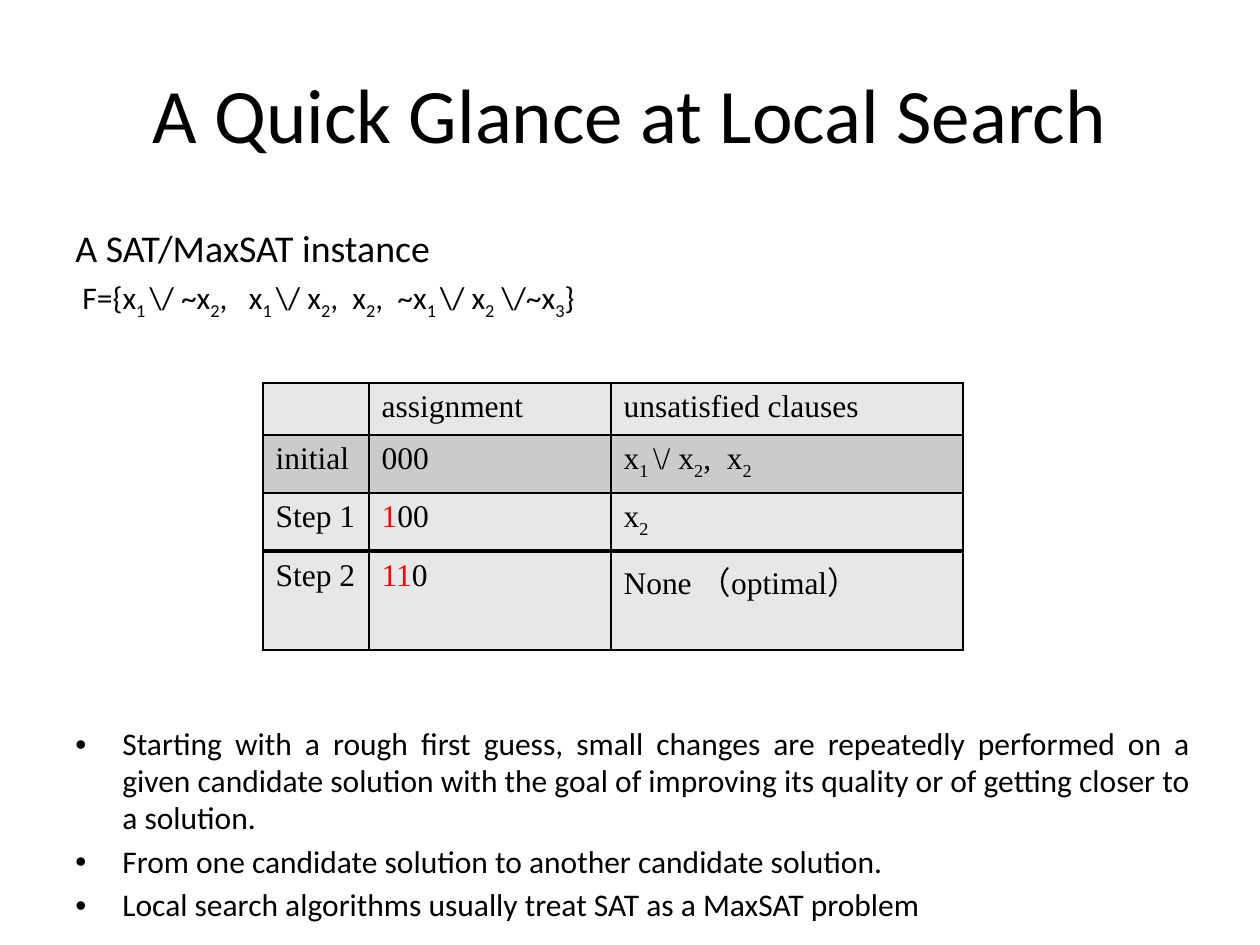
from pptx import Presentation
from pptx.dml.color import RGBColor
from pptx.enum.text import MSO_ANCHOR as Anchor, PP_ALIGN as Align
from pptx.oxml import parse_xml
from pptx.oxml.ns import nsdecls
from pptx.util import Emu, Pt

PX = 914400 // 126
BLACK = RGBColor(0x00, 0x00, 0x00)
RED = RGBColor(0xFF, 0x00, 0x00)
LIGHT = RGBColor(0xE7, 0xE7, 0xE7)
DARK = RGBColor(0xCB, 0xCB, 0xCB)

TABLE_LEFT = 263
COLUMNS = (106, 242, 352)
# Each table: top, then rows of (height, fill, cell texts)
TABLES = (
    (383, ((52, LIGHT, ("", "assignment", "unsatisfied clauses")),
           (58, DARK, ("initial", "000", r"x|1 |\/ x|2|,  x|2|")))),
    (493, ((57, LIGHT, ("Step 1", "|1|00", "x|2|")),)),
    (552, ((98, LIGHT, ("Step 2", "|11|0", "None （optimal）")),)),
)
FORMULA = r" F={x|1 |\/ ~x|2|,   x|1 |\/ x|2|,  x|2|,  ~x|1 |\/ x|2| \/~x|3|}"
POINTS = (
    "Starting with a rough first guess, small changes are repeatedly performed "
    "on a given candidate solution with the goal of improving its quality or of "
    "getting closer to a solution.",
    "From one candidate solution to another candidate solution. ",
    "Local search algorithms usually treat SAT as a MaxSAT problem",
)


def px(length):
    return Emu(length * PX)


def subscript(span):
    span._r.get_or_add_rPr().set("baseline", "-25000")


def redden(span):
    span.font.color.rgb = RED


class SlideBuilder:
    body_font = "Calibri"
    table_font = "Times New Roman"

    def __init__(self, page):
        self.page = page

    def add_spans(self, para, marked_text, size, font, mark=subscript):
        """Fill a paragraph, applying mark to the parts between bars."""
        for index, part in enumerate(marked_text.split("|")):
            if not part:
                continue
            span = para.add_run()
            span.text = part
            span.font.size = Pt(size)
            span.font.name = font
            span.font.color.rgb = BLACK
            if index % 2:
                mark(span)

    def text(self, left, top, width, height, lines, align=Align.LEFT,
             anchor=Anchor.TOP, bullets=False):
        """Add a text box; lines holds (text, size) pairs."""
        box = self.page.shapes.add_textbox(*map(px, (left, top, width, height)))
        frame = box.text_frame
        frame.word_wrap = True
        frame.vertical_anchor = anchor
        for index, (words, size) in enumerate(lines):
            para = frame.add_paragraph() if index else frame.paragraphs[0]
            para.alignment = align
            para.line_spacing = 0.98
            para.space_before = Pt(round(size * 0.2, 1) if index else 0)
            self.add_spans(para, words, size, self.body_font)
            if bullets:
                self.bullet(para)

    def bullet(self, para):
        props = para._p.get_or_add_pPr()
        props.set("marL", str(px(47)))
        props.set("indent", str(-px(47)))
        props.append(parse_xml(f'<a:buFont {nsdecls("a")} typeface="Arial"/>'))
        props.append(parse_xml(f'<a:buChar {nsdecls("a")} char="•"/>'))

    def table(self, left, top, widths, rows):
        heights = [height for height, _, _ in rows]
        area = map(px, (left, top, sum(widths), sum(heights)))
        table = self.page.shapes.add_table(len(rows), len(widths), *area).table
        for column, width in zip(table.columns, widths):
            column.width = px(width)
        for row, (height, fill, texts) in zip(table.rows, rows):
            row.height = px(height)
            for index, (cell, words) in enumerate(zip(row.cells, texts)):
                mark = redden if index == 1 else subscript
                self.add_spans(cell.text_frame.paragraphs[0], words, 18,
                               self.table_font, mark)
                self.border(cell)
                cell.fill.solid()
                cell.fill.fore_color.rgb = fill

    def border(self, cell):
        props = cell._tc.get_or_add_tcPr()
        for side in ("lnL", "lnR", "lnT", "lnB"):
            props.append(parse_xml(
                f'<a:{side} {nsdecls("a")} w="{Pt(1)}"><a:solidFill>'
                f'<a:srgbClr val="{BLACK}"/></a:solidFill></a:{side}>'))


def main():
    deck = Presentation()
    deck.slide_width, deck.slide_height = px(1260), px(945)
    builder = SlideBuilder(deck.slides.add_slide(deck.slide_layouts[6]))
    builder.text(63, 38, 1134, 157, [("A Quick Glance at Local Search", 44)],
                 Align.CENTER, Anchor.MIDDLE)
    builder.text(63, 221, 1140, 110,
                 [("A SAT/MaxSAT instance", 21.6), (FORMULA, 18)])
    for top, rows in TABLES:
        builder.table(TABLE_LEFT, top, COLUMNS, rows)
    builder.text(63, 720, 1140, 214, [(point, 18) for point in POINTS],
                 Align.JUSTIFY, bullets=True)
    deck.save("out.pptx")


if __name__ == "__main__":
    main()
